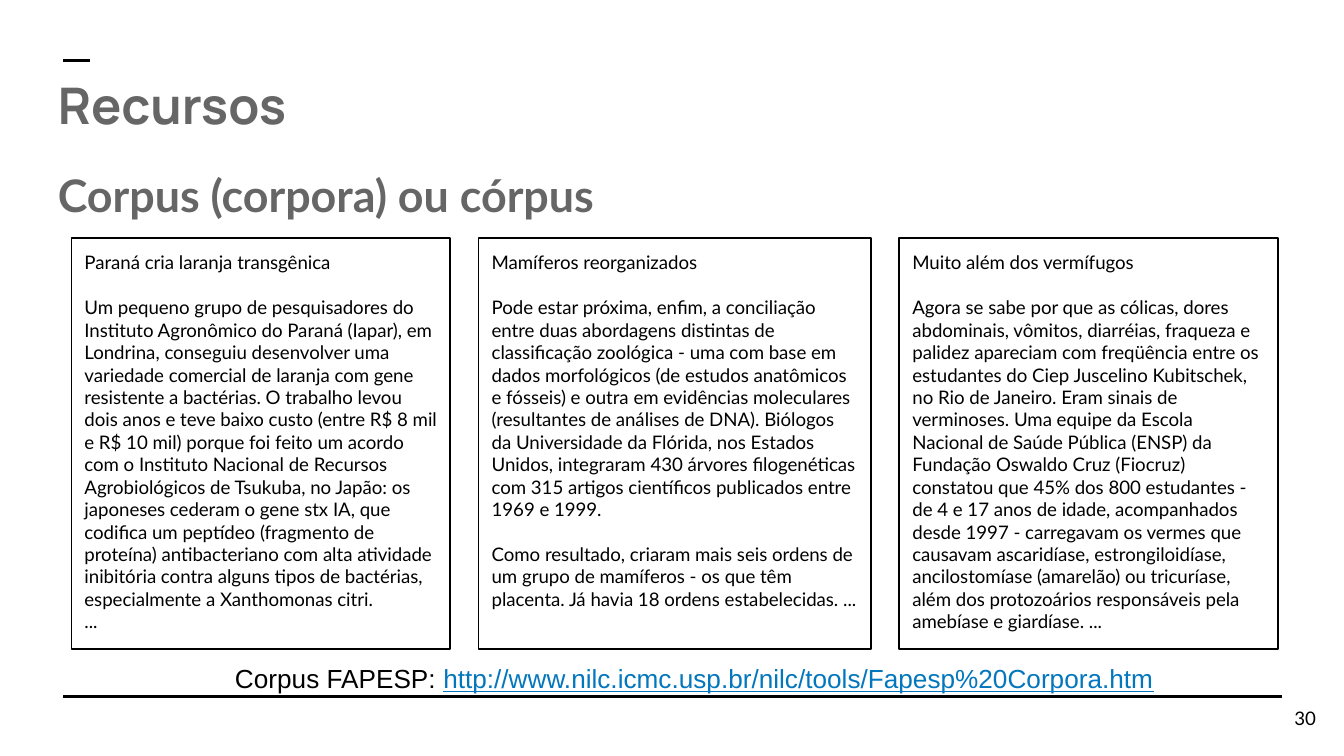
from dataclasses import dataclass

from lxml import etree
from pptx import Presentation
from pptx.dml.color import RGBColor
from pptx.enum import shapes, text
from pptx.oxml import ns
from pptx.util import Inches, Pt


@dataclass(frozen=True)
class Theme:
    black: str = "000000"
    gray: str = "666666"
    link: str = "0277BD"
    heading_font: str = "Manrope"
    body_font: str = "Lato"
    source_font: str = "Arial"
    title_size: int = 27
    subtitle_size: int = 24
    source_size: int = 14
    small_size: int = 10
    rule_width: float = 1.5
    border_width: float = 0.75


THEME = Theme()
INSET = 0.1
LINE_GAP = 12  # one line of small text
CARD_TOP, CARD_HEIGHT = 1.77, 3.06
CARD_LEFT, CARD_GAP = 0.53, 0.21

# Each card: width, then (space before, text) for every paragraph
CARDS = [
    (2.82, [
        (0, "Paraná cria laranja transgênica"),
        (LINE_GAP, "Um pequeno grupo de pesquisadores do Instituto Agronômico do Paraná "
         "(Iapar), em Londrina, conseguiu desenvolver uma variedade comercial de laranja "
         "com gene resistente a bactérias. O trabalho levou dois anos e teve baixo custo "
         "(entre R$ 8 mil e R$ 10 mil) porque foi feito um acordo com o Instituto Nacional "
         "de Recursos Agrobiológicos de Tsukuba, no Japão: os japoneses cederam o gene stx "
         "IA, que codifica um peptídeo (fragmento de proteína) antibacteriano com alta "
         "atividade inibitória contra alguns tipos de bactérias, especialmente a "
         "Xanthomonas citri."),
        (0, "..."),
    ]),
    (2.92, [
        (0, "Mamíferos reorganizados"),
        (LINE_GAP, "Pode estar próxima, enfim, a conciliação entre duas abordagens distintas "
         "de classificação zoológica - uma com base em dados morfológicos (de estudos "
         "anatômicos e fósseis) e outra em evidências moleculares (resultantes de análises "
         "de DNA). Biólogos da Universidade da Flórida, nos Estados Unidos, integraram 430 "
         "árvores filogenéticas com 315 artigos científicos publicados entre 1969 e 1999."),
        (LINE_GAP, "Como resultado, criaram mais seis ordens de um grupo de mamíferos - os "
         "que têm placenta. Já havia 18 ordens estabelecidas. ..."),
    ]),
    (2.82, [
        (0, "Muito além dos vermífugos"),
        (LINE_GAP, "Agora se sabe por que as cólicas, dores abdominais, vômitos, diarréias, "
         "fraqueza e palidez apareciam com freqüência entre os estudantes do Ciep Juscelino "
         "Kubitschek, no Rio de Janeiro. Eram sinais de verminoses. Uma equipe da Escola "
         "Nacional de Saúde Pública (ENSP) da Fundação Oswaldo Cruz (Fiocruz) constatou que "
         "45% dos 800 estudantes - de 4 e 17 anos de idade, acompanhados desde 1997 - "
         "carregavam os vermes que causavam ascaridíase, estrongiloidíase, ancilostomíase "
         "(amarelão) ou tricuríase, além dos protozoários responsáveis pela amebíase e "
         "giardíase. ..."),
    ]),
]


def add_text(paragraph, content, size=THEME.small_size, font=THEME.body_font,
             color=THEME.black, bold=False, underline=False,
             align=text.PP_ALIGN.LEFT, before=0):
    """Append a formatted run and set the format of its paragraph."""
    paragraph.alignment = align
    paragraph.space_before = Pt(before)
    run = paragraph.add_run()
    run.text = content
    run.font.size = Pt(size)
    run.font.name = font
    run.font.color.rgb = RGBColor.from_string(color)
    run.font.bold = bold
    run.font.underline = underline


def prepare_frame(shape, anchor=text.MSO_ANCHOR.TOP):
    frame = shape.text_frame
    frame.word_wrap = True
    frame.auto_size = text.MSO_AUTO_SIZE.NONE
    frame.vertical_anchor = anchor
    frame.margin_left = frame.margin_right = Inches(INSET)
    frame.margin_top = frame.margin_bottom = Inches(INSET)
    return frame


def fill_placeholder(shape, left, top, width, height, content, **style):
    shape.left, shape.top = Inches(left), Inches(top)
    shape.width, shape.height = Inches(width), Inches(height)
    paragraph = prepare_frame(shape).paragraphs[0]
    properties = paragraph._p.get_or_add_pPr()
    properties.set("marL", "0")
    properties.set("indent", "0")
    etree.SubElement(properties, ns.qn("a:buNone"))
    add_text(paragraph, content, color=THEME.gray, bold=True, **style)


def add_text_box(slide, left, top, width, height, anchor=text.MSO_ANCHOR.TOP):
    box = slide.shapes.add_textbox(Inches(left), Inches(top), Inches(width), Inches(height))
    return prepare_frame(box, anchor).paragraphs[0]


def add_rule(slide, left, right, y):
    rule = slide.shapes.add_connector(
        shapes.MSO_CONNECTOR.STRAIGHT, Inches(left), Inches(y), Inches(right), Inches(y))
    rule.line.color.rgb = RGBColor.from_string(THEME.black)
    rule.line.width = Pt(THEME.rule_width)
    etree.SubElement(rule._element.spPr, ns.qn("a:effectLst"))


def add_card(slide, left, width, paragraphs):
    card = slide.shapes.add_shape(
        shapes.MSO_SHAPE.RECTANGLE, Inches(left), Inches(CARD_TOP),
        Inches(width), Inches(CARD_HEIGHT))
    card.shadow.inherit = False
    card.fill.background()
    card.line.color.rgb = RGBColor.from_string(THEME.black)
    card.line.width = Pt(THEME.border_width)
    frame = prepare_frame(card)
    for index, (before, content) in enumerate(paragraphs):
        paragraph = frame.add_paragraph() if index else frame.paragraphs[0]
        add_text(paragraph, content, before=before)


def main():
    presentation = Presentation()
    presentation.slide_width = Inches(10)
    presentation.slide_height = presentation.slide_width * 9 // 16
    slide = presentation.slides.add_slide(presentation.slide_layouts[1])

    # Rules and page number
    add_rule(slide, 0.47, 9.54, 5.18)
    add_rule(slide, 0.47, 0.67, 0.45)
    number = add_text_box(slide, 9.29, 5.13, 0.6, 0.43, anchor=text.MSO_ANCHOR.MIDDLE)
    add_text(number, "30", align=text.PP_ALIGN.RIGHT)

    # Title and subtitle
    fill_placeholder(slide.shapes.title, 0.33, 0.45, 9.32, 0.7, "Recursos",
                     size=THEME.title_size, font=THEME.heading_font)
    fill_placeholder(slide.placeholders[1], 0.33, 1.15, 9.21, 3.98,
                     "Corpus (corpora) ou córpus", size=THEME.subtitle_size)

    # Sample texts
    left = CARD_LEFT
    for width, paragraphs in CARDS:
        add_card(slide, left, width, paragraphs)
        left += width + CARD_GAP

    # Source of the samples
    source = add_text_box(slide, 1.65, 4.83, 7.08, 0.44)
    style = {"size": THEME.source_size, "font": THEME.source_font}
    add_text(source, "Corpus FAPESP: ", **style)
    add_text(source, "http://www.nilc.icmc.usp.br/nilc/tools/Fapesp%20Corpora.htm",
             color=THEME.link, underline=True, **style)

    presentation.save("out.pptx")


if __name__ == "__main__":
    main()
